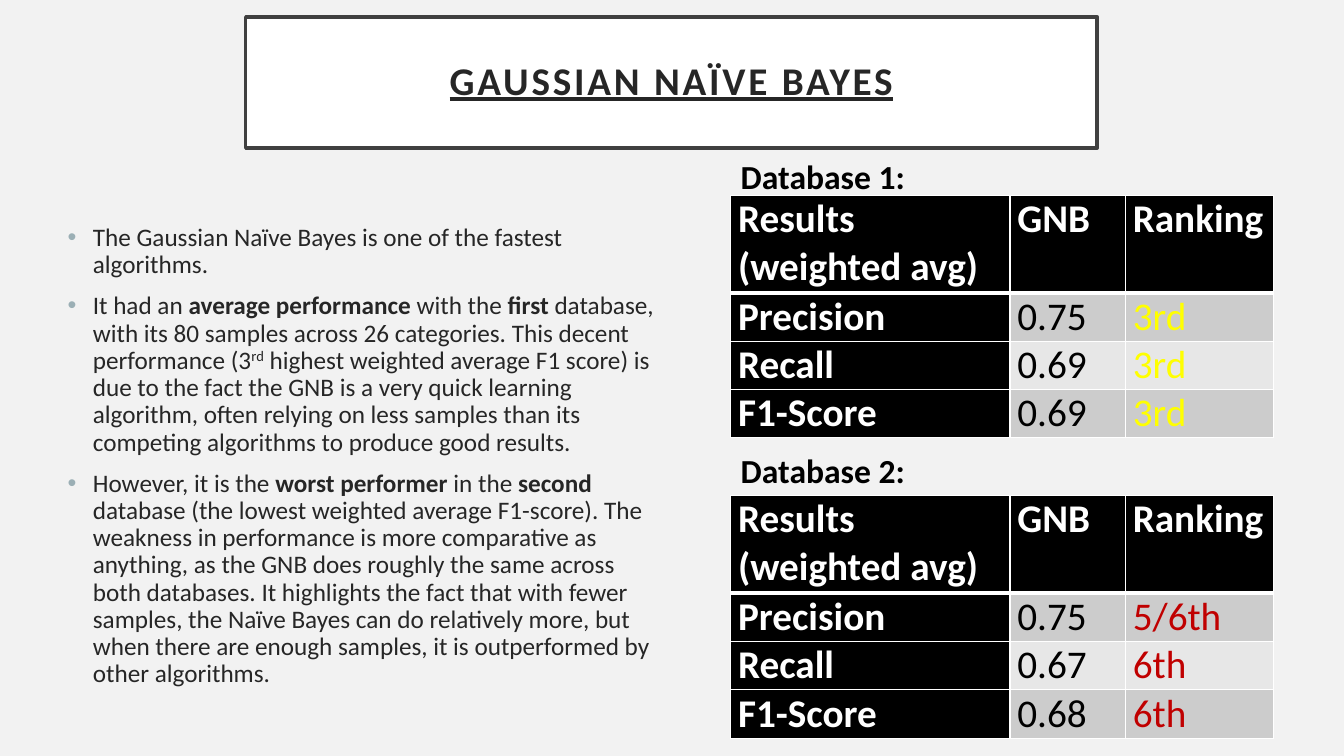
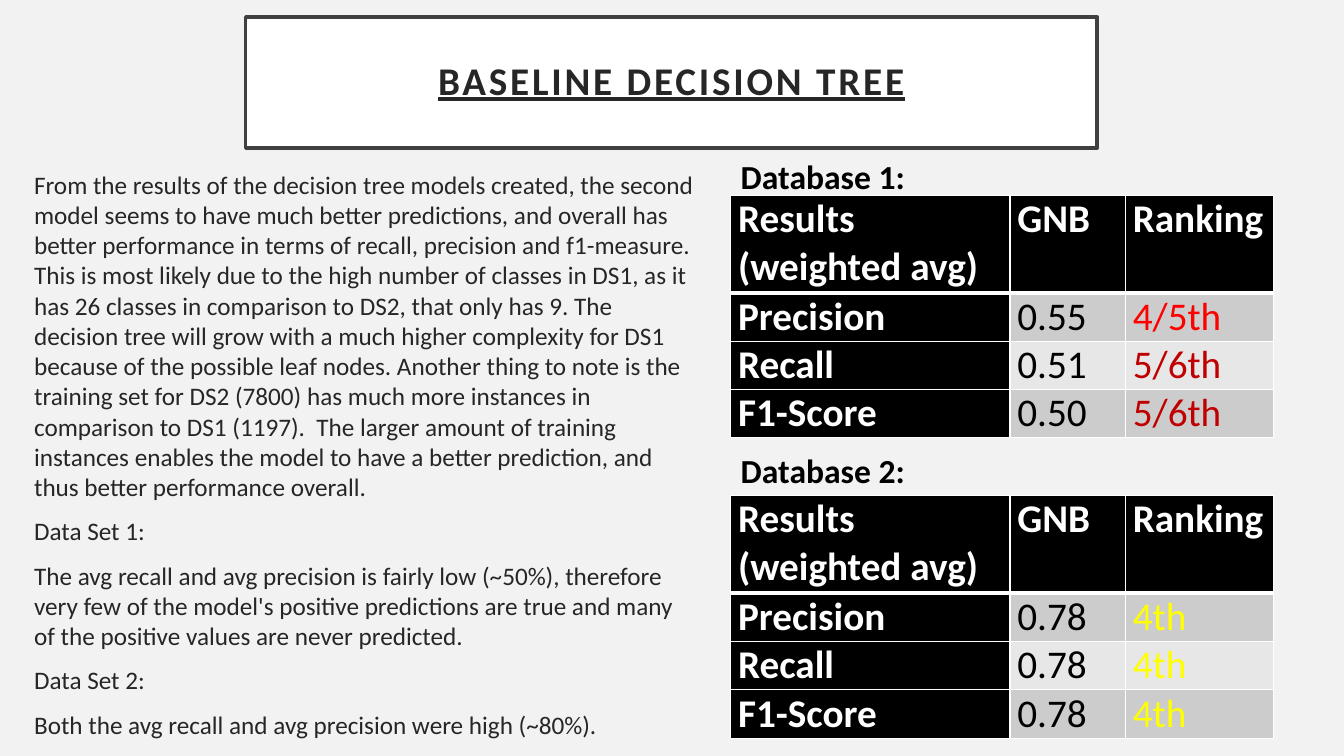
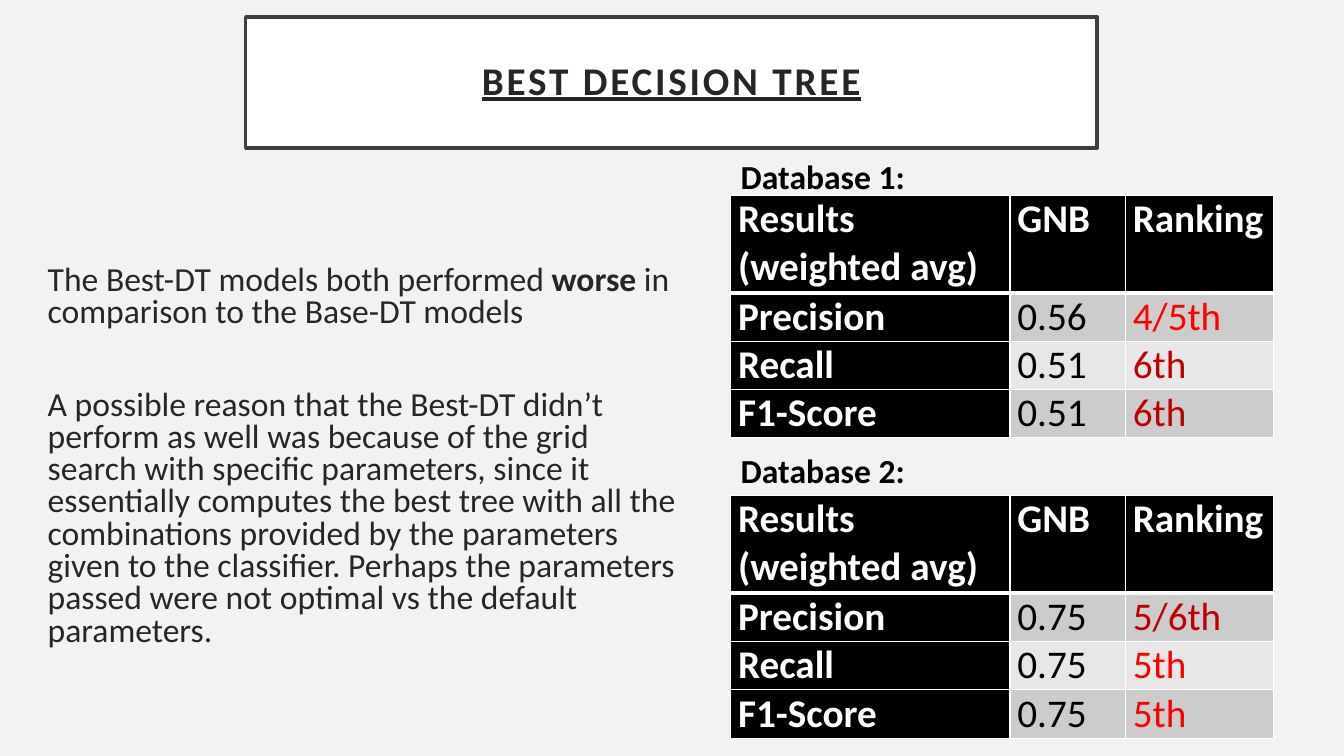
from dataclasses import dataclass

from lxml.etree import SubElement
from pptx import Presentation
from pptx.dml.color import RGBColor
from pptx.enum.shapes import MSO_SHAPE
from pptx.enum.text import MSO_ANCHOR, MSO_AUTO_SIZE, PP_ALIGN
from pptx.oxml.ns import qn
from pptx.util import Pt

EMU_PER_PX = 9525
FONT = "Calibri"
COLORS = {
    "background": "F2F2F2",
    "white": "FFFFFF",
    "black": "000000",
    "frame": "404040",
    "text": "262626",
    "bullet": "9BAFB5",
    "odd_row": "CCCCCC",
    "even_row": "E7E7E7",
    "middle": "FFFF00",
    "low": "FF0000",
    "lowest": "C00000",
}
RANK_COLORS = {
    "3rd": "middle",
    "4th": "middle",
    "4/5th": "low",
    "5th": "low",
    "5/6th": "lowest",
    "6th": "lowest",
}
HEADERS = ("Results (weighted avg)", "GNB", "Ranking")
MEASURES = ("Precision", "Recall", "F1-Score")
COLUMN_WIDTHS = (266, 110, 141)
ROW_HEIGHTS = (93, 46, 46, 46)
TABLE_LEFT = 696
TABLE_TOPS = (186, 472)
LABEL_TOPS = (144, 424)


@dataclass(frozen=True)
class Box:
    left: int
    top: int
    width: int
    height: int


@dataclass(frozen=True)
class Span:
    text: str
    bold: bool = False
    superscript: bool = False


@dataclass(frozen=True)
class Body:
    box: Box
    paragraphs: tuple[tuple[Span, ...], ...]
    size: int = 18
    line_spacing: float = 1.0
    space_before: int = 10
    top_inset: int = 5
    bulleted: bool = False


@dataclass(frozen=True)
class Score:
    value: str
    rank: str


@dataclass(frozen=True)
class Report:
    title: str
    body: Body
    databases: tuple[tuple[Score, ...], ...]


REPORTS = (
    Report(
        "GAUSSIAN NAÏVE BAYES",
        Body(
            Box(55, 169, 586, 536),
            (
                (Span("The Gaussian Naïve Bayes is one of the fastest algorithms."),),
                (
                    Span("It had an "),
                    Span("average performance ", bold=True),
                    Span("with the "),
                    Span("first", bold=True),
                    Span(
                        " database, with its 80 samples across 26 categories. "
                        "This decent performance (3"
                    ),
                    Span("rd", superscript=True),
                    Span(
                        " highest weighted average F1 score) is due to the fact the GNB "
                        "is a very quick learning algorithm, often relying on less samples "
                        "than its competing algorithms to produce good results."
                    ),
                ),
                (
                    Span("However, it is the "),
                    Span("worst performer ", bold=True),
                    Span("in the "),
                    Span("second", bold=True),
                    Span(
                        " database (the lowest weighted average F1-score). The weakness in "
                        "performance is more comparative as anything, as the GNB does roughly "
                        "the same across both databases. It highlights the fact that with "
                        "fewer samples, the Naïve Bayes can do relatively more, but when there "
                        "are enough samples, it is outperformed by other algorithms."
                    ),
                ),
            ),
            line_spacing=0.9,
            top_inset=45,
            bulleted=True,
        ),
        (
            (Score("0.75", "3rd"), Score("0.69", "3rd"), Score("0.69", "3rd")),
            (Score("0.75", "5/6th"), Score("0.67", "6th"), Score("0.68", "6th")),
        ),
    ),
    Report(
        "BASELINE DECISION TREE",
        Body(
            Box(23, 156, 653, 564),
            (
                (
                    Span(
                        "From the results of the decision tree models created, the second "
                        "model seems to have much better predictions, and overall has better "
                        "performance in terms of recall, precision and f1-measure. This is "
                        "most likely due to the high number of classes in DS1, as it has 26 "
                        "classes in comparison to DS2, that only has 9. The decision tree will "
                        "grow with a much higher complexity for DS1 because of the possible "
                        "leaf nodes. Another thing to note is the training set for DS2 (7800) "
                        "has much more instances in comparison to DS1 (1197).  The larger "
                        "amount of training instances enables the model to have a better "
                        "prediction, and thus better performance overall."
                    ),
                ),
                (Span("Data Set 1:"),),
                (
                    Span(
                        "The avg recall and avg precision is fairly low (~50%), therefore very "
                        "few of the model's positive predictions are true and many of the "
                        "positive values are never predicted."
                    ),
                ),
                (Span("Data Set 2:"),),
                (Span("Both the avg recall and avg precision were high (~80%)."),),
            ),
        ),
        (
            (Score("0.55", "4/5th"), Score("0.51", "5/6th"), Score("0.50", "5/6th")),
            (Score("0.78", "4th"), Score("0.78", "4th"), Score("0.78", "4th")),
        ),
    ),
    Report(
        "BEST DECISION TREE",
        Body(
            Box(36, 248, 623, 377),
            (
                (
                    Span("The Best-DT models both performed "),
                    Span("worse", bold=True),
                    Span(" in comparison to the Base-DT models"),
                ),
                (
                    Span(
                        "A possible reason that the Best-DT didn’t perform as well was because "
                        "of the grid search with specific parameters, since it essentially "
                        "computes the best tree with all the combinations provided by the "
                        "parameters given to the classifier. Perhaps the parameters passed "
                        "were not optimal vs the default parameters."
                    ),
                ),
            ),
            size=24,
            line_spacing=0.8,
            space_before=43,
        ),
        (
            (Score("0.56", "4/5th"), Score("0.51", "6th"), Score("0.51", "6th")),
            (Score("0.75", "5/6th"), Score("0.75", "5th"), Score("0.75", "5th")),
        ),
    ),
)


def px(length: int) -> int:
    return length * EMU_PER_PX


def place(box: Box) -> tuple[int, ...]:
    return tuple(px(length) for length in (box.left, box.top, box.width, box.height))


def rgb(name: str) -> RGBColor:
    return RGBColor.from_string(COLORS[name])


def style_run(run, size: int, color: str, bold: bool = False) -> None:
    run.font.name = FONT
    run.font.size = Pt(size)
    run.font.bold = bold
    run.font.color.rgb = rgb(color)


def add_bullet(paragraph) -> None:
    properties = paragraph._p.get_or_add_pPr()
    properties.set("marL", str(px(24)))
    properties.set("indent", str(px(-24)))
    bullet_color = SubElement(properties, qn("a:buClr"))
    SubElement(bullet_color, qn("a:srgbClr"), val=COLORS["bullet"])
    SubElement(properties, qn("a:buFont"), typeface="Arial")
    SubElement(properties, qn("a:buChar"), char="•")


def add_title(slide, title: str) -> None:
    shape = slide.shapes.add_shape(MSO_SHAPE.RECTANGLE, *place(Box(234, 16, 811, 125)))
    shape.shadow.inherit = False
    shape.fill.solid()
    shape.fill.fore_color.rgb = rgb("white")
    shape.line.color.rgb = rgb("frame")
    shape.line.width = Pt(2.5)
    text_frame = shape.text_frame
    text_frame.text = title
    text_frame.vertical_anchor = MSO_ANCHOR.MIDDLE
    paragraph = text_frame.paragraphs[0]
    paragraph.alignment = PP_ALIGN.CENTER
    paragraph.line_spacing = 0.9
    run = paragraph.runs[0]
    style_run(run, 28, "text", bold=True)
    run.font.underline = True
    run._r.get_or_add_rPr().set("spc", "200")


def add_body(slide, body: Body) -> None:
    text_frame = slide.shapes.add_textbox(*place(body.box)).text_frame
    text_frame.word_wrap = True
    text_frame.margin_top = px(body.top_inset)
    for index, spans in enumerate(body.paragraphs):
        paragraph = text_frame.add_paragraph() if index else text_frame.paragraphs[0]
        paragraph.line_spacing = body.line_spacing
        if index:
            paragraph.space_before = Pt(body.space_before)
        if body.bulleted:
            add_bullet(paragraph)
        for span in spans:
            run = paragraph.add_run()
            run.text = span.text
            style_run(run, body.size, "text", span.bold)
            if span.superscript:
                run._r.get_or_add_rPr().set("baseline", "30000")


def add_label(slide, text: str, top: int) -> None:
    text_frame = slide.shapes.add_textbox(*place(Box(TABLE_LEFT, top, 285, 48))).text_frame
    text_frame.word_wrap = True
    text_frame.auto_size = MSO_AUTO_SIZE.SHAPE_TO_FIT_TEXT
    text_frame.text = text
    style_run(text_frame.paragraphs[0].runs[0], 24, "black", bold=True)


def set_borders(cell, row: int) -> None:
    properties = cell._tc.get_or_add_tcPr()
    widths = {
        "lnL": 1,
        "lnR": 1,
        "lnT": 3 if row == 1 else 1,
        "lnB": 3 if row == 0 else 1,
    }
    for side, width in widths.items():
        line = SubElement(properties, qn(f"a:{side}"), w=str(Pt(width)))
        fill = SubElement(line, qn("a:solidFill"))
        SubElement(fill, qn("a:srgbClr"), val=COLORS["white"])


def fill_cell(cell, row: int, column: int, text: str) -> None:
    is_heading = row == 0 or column == 0
    if is_heading:
        fill, color = "black", "white"
    else:
        fill = "odd_row" if row % 2 else "even_row"
        color = RANK_COLORS.get(text, "black")
    set_borders(cell, row)
    cell.fill.solid()
    cell.fill.fore_color.rgb = rgb(fill)
    cell.margin_left = cell.margin_right = px(7)
    cell.margin_top = cell.margin_bottom = 0
    cell.text_frame.text = text
    style_run(cell.text_frame.paragraphs[0].runs[0], 28, color, is_heading)


def add_scores(slide, scores: tuple[Score, ...], top: int) -> None:
    rows = [HEADERS] + [
        (measure, score.value, score.rank) for measure, score in zip(MEASURES, scores)
    ]
    box = Box(TABLE_LEFT, top, sum(COLUMN_WIDTHS), sum(ROW_HEIGHTS))
    table = slide.shapes.add_table(len(rows), len(HEADERS), *place(box)).table
    for column, width in zip(table.columns, COLUMN_WIDTHS):
        column.width = px(width)
    for row, height in zip(table.rows, ROW_HEIGHTS):
        row.height = px(height)
    for row_index, texts in enumerate(rows):
        for column_index, text in enumerate(texts):
            fill_cell(table.cell(row_index, column_index), row_index, column_index, text)


def add_report(presentation, report: Report) -> None:
    slide = presentation.slides.add_slide(presentation.slide_layouts[6])
    slide.background.fill.solid()
    slide.background.fill.fore_color.rgb = rgb("background")
    add_title(slide, report.title)
    add_body(slide, report.body)
    databases = zip(report.databases, TABLE_TOPS, LABEL_TOPS)
    for number, (scores, table_top, label_top) in enumerate(databases, start=1):
        add_scores(slide, scores, table_top)
        add_label(slide, f"Database {number}:", label_top)


def main() -> None:
    presentation = Presentation()
    presentation.slide_width = px(1280)
    presentation.slide_height = px(720)
    for report in REPORTS:
        add_report(presentation, report)
    presentation.save("out.pptx")


if __name__ == "__main__":
    main()
